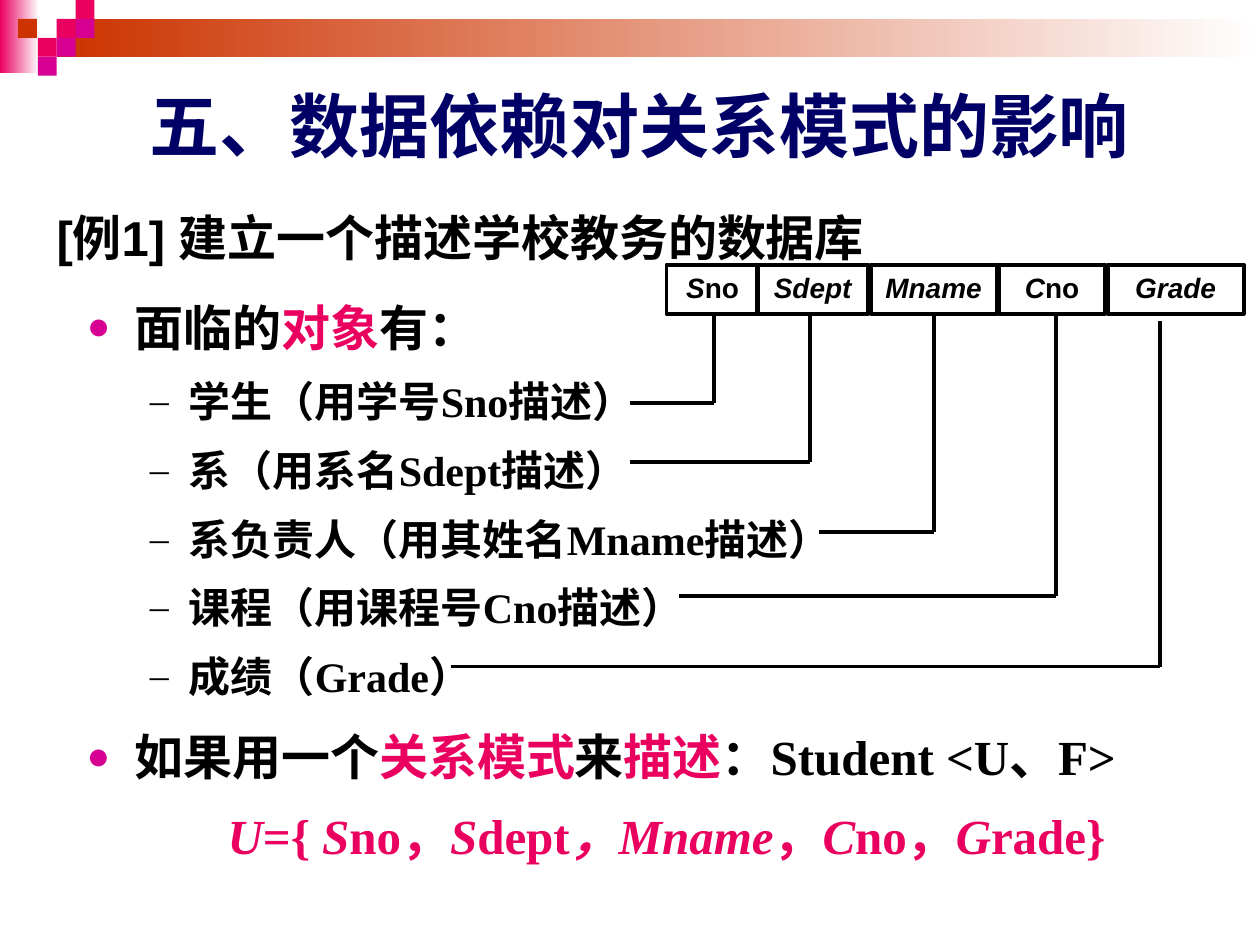
from lxml.etree import SubElement
from pptx import Presentation
from pptx.dml.color import RGBColor
from pptx.enum.shapes import MSO_CONNECTOR, MSO_SHAPE
from pptx.enum.text import MSO_ANCHOR, PP_ALIGN
from pptx.oxml.ns import qn
from pptx.util import Inches, Pt

BLACK = RGBColor(0x00, 0x00, 0x00)
WHITE = RGBColor(0xFF, 0xFF, 0xFF)
NAVY = RGBColor(0x00, 0x00, 0x66)
PINK = RGBColor(0xEA, 0x00, 0x5F)
MAGENTA = RGBColor(0xD6, 0x00, 0x93)
RUST = RGBColor(0xCC, 0x33, 0x00)

SANS = "Arial"
SERIF = "Times New Roman"
CJK = "Noto Sans CJK SC"


def add_run(paragraph, text, size, font=SERIF, color=BLACK, italic=False):
    """Add one bold run with its Latin and East Asian fonts."""
    run = paragraph.add_run()
    run.text = text
    run.font.size = Pt(size)
    run.font.name = font
    run.font.bold = True
    run.font.italic = italic
    run.font.color.rgb = color
    SubElement(run.font._element, qn("a:ea"), typeface=CJK)


def add_text_frame(slide, left, top, width, height):
    """Add a wrapping text box and return its frame."""
    box = slide.shapes.add_textbox(
        Inches(left), Inches(top), Inches(width), Inches(height))
    box.text_frame.word_wrap = True
    return box.text_frame


def set_indent(paragraph, margin, hanging):
    """Give a paragraph a hanging indent."""
    properties = paragraph._p.get_or_add_pPr()
    properties.set("marL", str(Inches(margin)))
    properties.set("indent", str(-Inches(hanging)))
    return properties


def style_item(paragraph, size, level, bullet=None):
    """Set the spacing, indent and bullet of a list item."""
    paragraph.level = level
    paragraph.line_spacing = Pt(round(size * 1.2, 1))
    paragraph.space_before = Pt(6 if level else 7)
    paragraph.space_after = Pt(4.5 if level else 5.2)
    properties = set_indent(paragraph, *((0.81, 0.31) if level else (0.38, 0.38)))
    if bullet:
        color = SubElement(properties, qn("a:buClr"))
        SubElement(color, qn("a:srgbClr"), val=str(BLACK if level else MAGENTA))
        SubElement(properties, qn("a:buSzPct"), val="90000" if level else "80000")
        SubElement(properties, qn("a:buFont"), typeface=SERIF)
        SubElement(properties, qn("a:buChar"), char=bullet)


def add_block(slide, left, top, width, height, color, fade=False):
    """Add a borderless rectangle, solid or fading to white."""
    block = slide.shapes.add_shape(
        MSO_SHAPE.RECTANGLE, Inches(left), Inches(top), Inches(width), Inches(height))
    block.shadow.inherit = False
    block.line.fill.background()
    if fade:
        block.fill.gradient()
        block.fill.gradient_angle = 0
        for stop, shade, position in zip(block.fill.gradient_stops, (color, WHITE), (0, 1)):
            stop.color.rgb = shade
            stop.position = position
    else:
        block.fill.solid()
        block.fill.fore_color.rgb = color


def add_banner(slide, left, top, width):
    """Draw the fading band and its mosaic of small squares."""
    add_block(slide, left, top, 0.31, 0.58, PINK, fade=True)
    add_block(slide, left + 0.45, top + 0.15, width - 0.45, 0.3, RUST, fade=True)
    side = 0.15
    mosaic = [(3, 1, PINK), (4, 0, PINK), (4, 1, MAGENTA), (2, 2, PINK),
              (0.95, 1, RUST), (3, 2, MAGENTA), (2, 3, MAGENTA)]
    for column, row, color in mosaic:
        add_block(slide, left + column * side, top + row * side, side, side, color)


def add_title(slide, left, top, width, height):
    """Write the centred slide title."""
    frame = add_text_frame(slide, left, top, width, height)
    frame.vertical_anchor = MSO_ANCHOR.MIDDLE
    title = frame.paragraphs[0]
    title.alignment = PP_ALIGN.CENTER
    add_run(title, "五、数据依赖对关系模式的影响", 40, SANS, NAVY)


def add_example(slide, left, top, width, height):
    """Write the example heading."""
    heading = add_text_frame(slide, left, top, width, height).paragraphs[0]
    heading.line_spacing = Pt(43)
    heading.space_before = Pt(7)
    set_indent(heading, 0.38, 0.38)
    add_run(heading, "[例1] 建立一个描述学校教务的数据库", 28, SANS)


def add_objects(slide, left, top, width, height):
    """List the objects that the database describes."""
    frame = add_text_frame(slide, left, top, width, height)
    lead = frame.paragraphs[0]
    style_item(lead, 28, 0, "●")
    for text, color in [("面临的", BLACK), ("对象", PINK), ("有：", BLACK)]:
        add_run(lead, text, 28, color=color)
    for text in ["学生（用学号Sno描述）", "系（用系名Sdept描述）",
                 "系负责人（用其姓名Mname描述）", "课程（用课程号Cno描述）",
                 "成绩（Grade）"]:
        item = frame.add_paragraph()
        item.alignment = PP_ALIGN.JUSTIFY
        style_item(item, 24, 1, "–")
        add_run(item, text, 24)


def add_schema(slide, left, top, width, height):
    """Write the relation schema and its attribute set."""
    frame = add_text_frame(slide, left, top, width, height)
    lead = frame.paragraphs[0]
    style_item(lead, 28, 0, "●")
    for text, color in [("如果用一个", BLACK), ("关系模式", PINK), ("来", BLACK),
                        ("描述", PINK), ("：Student <U、F>", BLACK)]:
        add_run(lead, text, 28, color=color)
    attributes = frame.add_paragraph()
    attributes.alignment = PP_ALIGN.CENTER
    style_item(attributes, 28, 1)
    for text, italic in [("U", True), ("={", False), (" S", True), ("no", False),
                         ("，", False), ("S", True), ("dept", False), ("，", True),
                         ("Mname", True), ("，", False), ("C", True), ("no", False),
                         ("，", False), ("G", True), ("rade}", False)]:
        add_run(attributes, text, 28, CJK if text == "，" else SERIF, PINK, italic)


def add_rule(slide, x1, y1, x2, y2):
    """Draw a straight black line."""
    rule = slide.shapes.add_connector(
        MSO_CONNECTOR.STRAIGHT, Inches(x1), Inches(y1), Inches(x2), Inches(y2))
    rule.line.color.rgb = BLACK
    rule.line.width = Pt(2.25)
    SubElement(rule._element.spPr, qn("a:effectLst"))


def add_attribute(slide, left, top, width, height, name, item_x, item_y, stem_x, stem_y):
    """Draw an attribute cell and the elbow that ties it to its list item."""
    cell = slide.shapes.add_shape(
        MSO_SHAPE.RECTANGLE, Inches(left), Inches(top), Inches(width), Inches(height))
    cell.shadow.inherit = False
    cell.fill.background()
    cell.line.color.rgb = BLACK
    cell.line.width = Pt(2.25)
    cell.text_frame.vertical_anchor = MSO_ANCHOR.TOP
    label = cell.text_frame.paragraphs[0]
    label.alignment = PP_ALIGN.CENTER
    label.space_before = Pt(4)
    for text, italic in name:
        add_run(label, text, 16, SANS, italic=italic)
    for edge in (left + width, left):
        add_rule(slide, edge, top, edge, top + height)
    add_rule(slide, item_x, item_y, stem_x, item_y)
    add_rule(slide, stem_x, item_y, stem_x, stem_y)


def add_attributes(slide, top, height):
    """Draw the row of attribute cells."""
    cells = [
        (8.79, 1.08, [("Grade", True)], 3.58, 5.29, 9.21, 2.55),
        (7.93, 0.84, [("C", True), ("no", False)], 5.39, 4.73, 8.38, 2.51),
        (6.91, 1.00, [("Mname", True)], 6.5, 4.22, 7.41, 2.5),
        (6.01, 0.88, [("Sdept", True)], 5, 3.67, 6.43, 2.51),
        (5.29, 0.73, [("S", True), ("no", False)], 5, 3.2, 5.67, 2.51),
    ]
    for left, width, *link in cells:
        add_attribute(slide, left, top, width, height, *link)


def main():
    """Build and save the slide."""
    deck = Presentation()
    deck.slide_width, deck.slide_height = Inches(10), Inches(7.5)
    slide = deck.slides.add_slide(deck.slide_layouts[6])
    add_banner(slide, 0, 0, 10)
    add_objects(slide, 0.59, 2.31, 8.58, 3.33)
    add_attributes(slide, 2.1, 0.39)
    add_schema(slide, 0.59, 5.72, 8.9, 1.25)
    add_title(slide, 0.5, 0.52, 9.15, 0.94)
    add_example(slide, 0.35, 1.47, 9.41, 0.63)
    deck.save("out.pptx")


if __name__ == "__main__":
    main()
